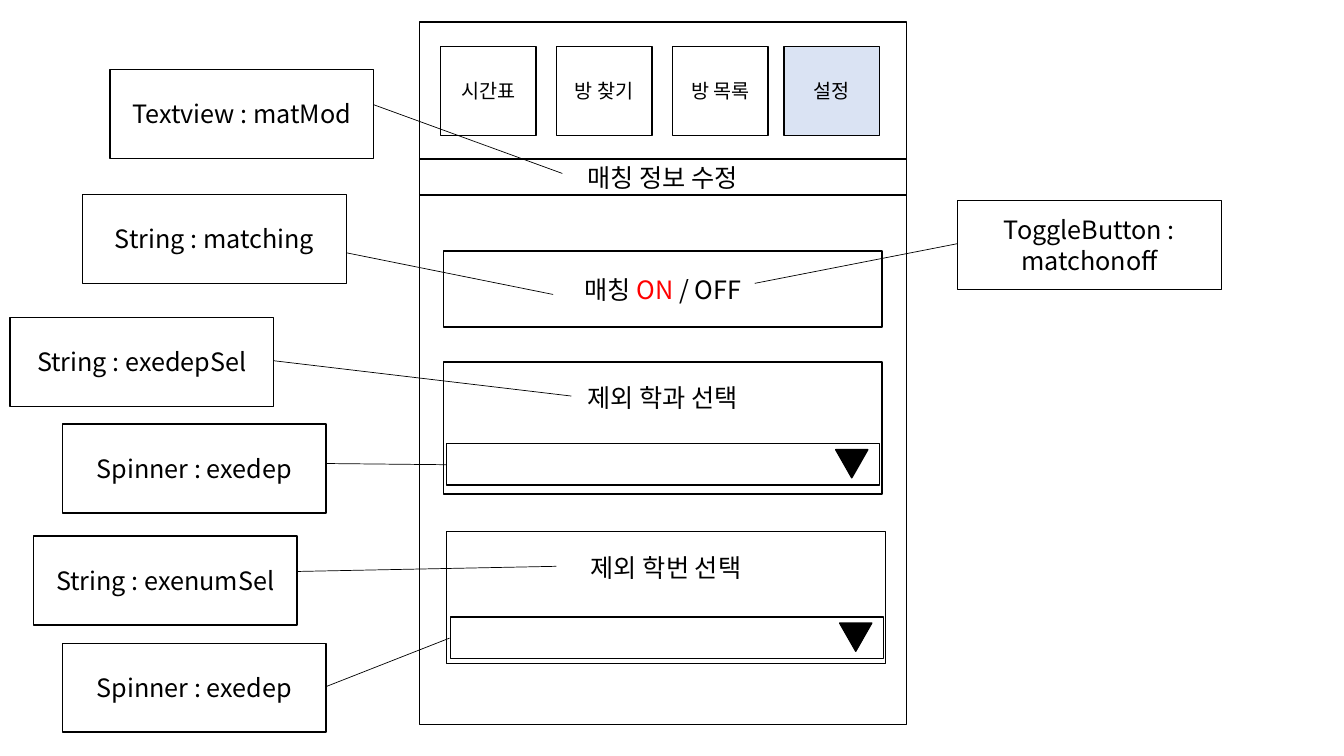
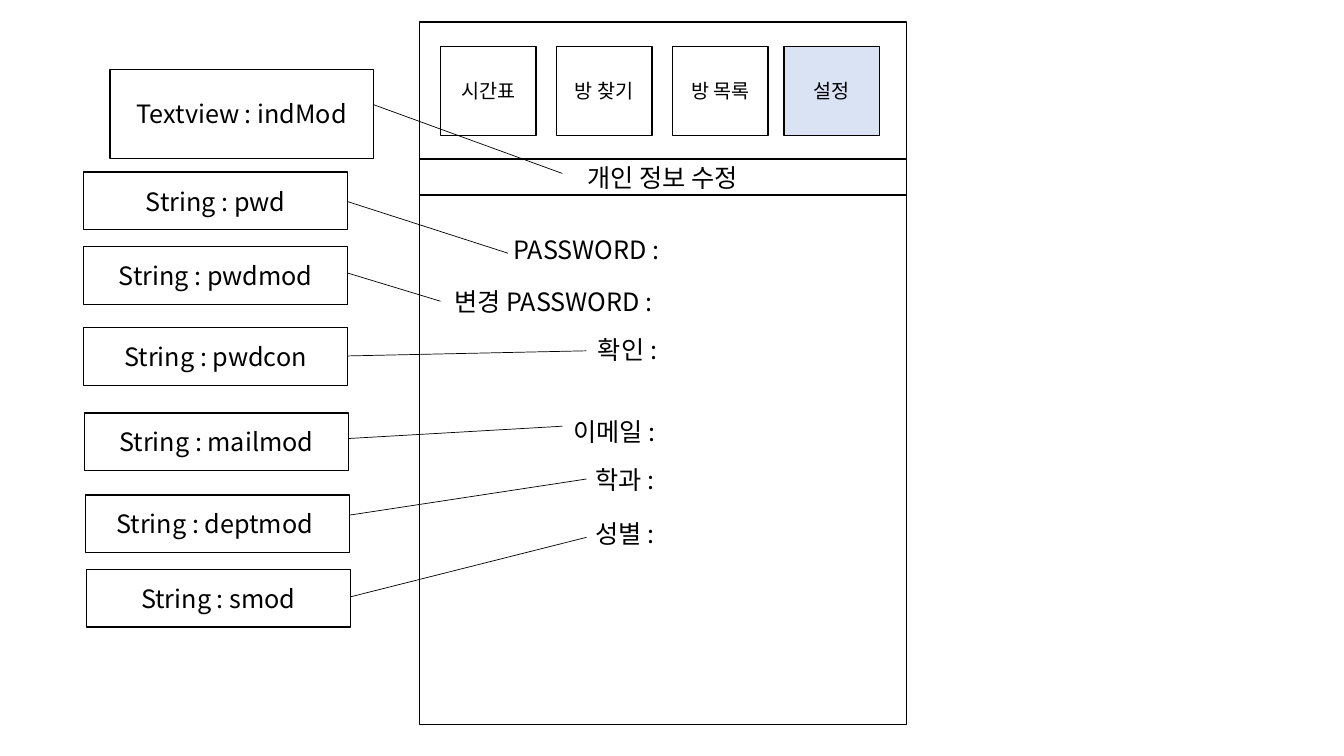
from collections import namedtuple

from lxml import etree
from pptx import Presentation
from pptx.dml.color import RGBColor
from pptx.enum.shapes import MSO_CONNECTOR, MSO_SHAPE
from pptx.enum.text import MSO_ANCHOR, MSO_AUTO_SIZE, PP_ALIGN
from pptx.oxml.ns import qn
from pptx.util import Cm, Pt

RECT, TRIANGLE = MSO_SHAPE.RECTANGLE, MSO_SHAPE.ISOSCELES_TRIANGLE
STRAIGHT = MSO_CONNECTOR.STRAIGHT
MIDDLE, TOP = MSO_ANCHOR.MIDDLE, MSO_ANCHOR.TOP
FIT_SHAPE = MSO_AUTO_SIZE.SHAPE_TO_FIT_TEXT
CENTER = PP_ALIGN.CENTER

COLORS = {"ink": "000000", "paper": "FFFFFF", "active": "DAE3F3", "on": "FF0000"}
FONT = "Noto Sans CJK KR"

Box = namedtuple("Box", "left top width height")
PHONE = Box(10.57, 0.56, 12.27, 17.7)
TABS = [("시간표", 0.53), ("방 찾기", 3.45), ("방 목록", 6.38), ("설정", 9.19)]
ACTIVE_TAB = "설정"
CALLOUT_WIDTH = 6.65
TALL, SHORT = 2.24, 1.45
TITLE_CALLOUT = (2.77, 1.75, 0.89, (14.17, 4.37))

MATCHING_CALLOUTS = [
    ("String : matching", 2.08, 4.9, 1.47, (13.94, 7.42)),
    ("String : exedepSel", 0.25, 8, 1.09, (14.4, 9.98)),
    ("Spinner : exedep", 1.57, 10.69, 0.99, (11.25, 11.71)),
    ("String : exenumSel", 0.84, 13.51, 0.89, (14.02, 14.27)),
    ("Spinner : exedep", 1.57, 16.21, 1.09, (11.33, 16.08)),
    ("ToggleButton : matchonoff", 24.13, 5.05, 1.09, (19.02, 7.14)),
]
PERSONAL_CALLOUTS = [
    ("String : pwd", 2.11, 4.34, 0.74, (12.8, 6.38)),
    ("String : pwdmod", 2.11, 6.22, 0.66, (11.1, 7.59)),
    ("String : pwdcon", 2.11, 8.26, 0.71, (14.78, 8.84)),
    ("String : mailmod", 2.13, 10.41, 0.64, (14.17, 10.74)),
    ("String : deptmod ", 2.16, 12.47, 0.51, (14.78, 12.07)),
    ("String : smod", 2.18, 14.35, 0.69, (14.78, 13.54)),
]
PERSONAL_FIELDS = [
    ("PASSWORD : ", 2.06, 5.23, 4.29),
    ("변경 PASSWORD : ", 0.53, 6.53, 5.84),
    ("확인 :", 3.1, 7.75, 4.29),
    ("이메일 : ", 2.84, 9.8, 4.29),
    ("학과 : ", 3.1, 11.02, 4.29),
    ("성별 : ", 3.1, 12.37, 4.29),
]


def rgb(color):
    return RGBColor.from_string(COLORS[color])


def inside(box, left, top, width, height):
    return Box(box.left + left, box.top + top, width, height)


def apply(target, values):
    for name, value in values.items():
        setattr(target, name, value)


def write(frame, runs, size=18, **frame_format):
    apply(frame, {"word_wrap": True, "vertical_anchor": MIDDLE, **frame_format})
    paragraph = frame.paragraphs[0]
    paragraph.alignment = CENTER
    for words, color in runs:
        run = paragraph.add_run()
        run.text = words
        apply(run.font, {"name": FONT, "size": Pt(size)})
        run.font.color.rgb = rgb(color)
        east_asian = etree.SubElement(run.font._element, qn("a:ea"))
        east_asian.set("typeface", FONT)


def draw(slide, box, fill=None, preset=RECT):
    shape = slide.shapes.add_shape(preset, *map(Cm, box))
    shape.shadow.inherit = False
    if fill:
        shape.fill.solid()
        shape.fill.fore_color.rgb = rgb(fill)
    else:
        shape.fill.background()
    shape.line.color.rgb = rgb("ink")
    shape.line.width = Pt(1)
    return shape


def connect(slide, start, end):
    connector = slide.shapes.add_connector(STRAIGHT, *map(Cm, (*start, *end)))
    connector.line.color.rgb = rgb("ink")
    connector.line.width = Pt(0.5)
    etree.SubElement(connector._element.spPr, qn("a:effectLst"))


def phone_screen(slide, phone, title):
    draw(slide, phone, "paper")
    for label, left in TABS:
        fill = "active" if label == ACTIVE_TAB else "paper"
        tab = draw(slide, inside(phone, left, 0.61, 2.41, 2.24), fill)
        write(tab.text_frame, [(label, "ink")], 14)
    rule = phone.top + 3.43
    connect(slide, (phone.left, rule), (phone.left + phone.width, rule))
    title_bar = draw(slide, inside(phone, 0, 3.45, phone.width, 0.91), "paper")
    write(title_bar.text_frame, [(title, "ink")])


def spinner_panel(slide, panel, label, field_left, field_top):
    heading = draw(slide, panel)
    write(heading.text_frame, [(label, "ink")], margin_top=0, margin_bottom=Cm(1.52))
    field = inside(panel, field_left, field_top, 10.9, 1.04)
    draw(slide, field)
    arrow = draw(slide, inside(field, 9.8, 0.15, 0.81, 0.71), "ink", TRIANGLE)
    arrow.rotation = 180


def matching_form(slide, phone):
    toggle = draw(slide, inside(phone, 0.61, 5.77, 11.05, 1.91))
    write(toggle.text_frame, [("매칭 ", "ink"), ("ON", "on"), (" / OFF", "ink")])
    spinner_panel(slide, inside(phone, 0.61, 8.56, 11.05, 3.33), "제외 학과 선택", 0.08, 2.06)
    spinner_panel(slide, inside(phone, 0.69, 12.83, 11.05, 3.33), "제외 학번 선택", 0.1, 2.16)


def personal_form(slide, phone):
    for label, left, top, width in PERSONAL_FIELDS:
        field = slide.shapes.add_textbox(*map(Cm, inside(phone, left, top, width, 1.02)))
        write(field.text_frame, [(label, "ink")], vertical_anchor=TOP, auto_size=FIT_SHAPE)


def callout(slide, box, label, drop, target):
    note = draw(slide, box)
    write(note.text_frame, [(label, "ink")])
    edge = box.left if target[0] < box.left else box.left + box.width
    connect(slide, (edge, box.top + drop), target)


def settings_slide(deck, title, title_label, form, callouts, callout_height):
    slide = deck.slides.add_slide(deck.slide_layouts[6])
    phone_screen(slide, PHONE, title)
    form(slide, PHONE)
    notes = [((title_label, *TITLE_CALLOUT), TALL)]
    notes += [(entry, callout_height) for entry in callouts]
    for (label, left, top, drop, target), height in notes:
        callout(slide, Box(left, top, CALLOUT_WIDTH, height), label, drop, target)


def main():
    deck = Presentation()
    apply(deck, {"slide_width": Cm(33.87), "slide_height": Cm(19.05)})
    settings_slide(deck, "매칭 정보 수정", "Textview : matMod",
                   matching_form, MATCHING_CALLOUTS, TALL)
    settings_slide(deck, "개인 정보 수정", "Textview : indMod",
                   personal_form, PERSONAL_CALLOUTS, SHORT)
    deck.save("out.pptx")


if __name__ == "__main__":
    main()
